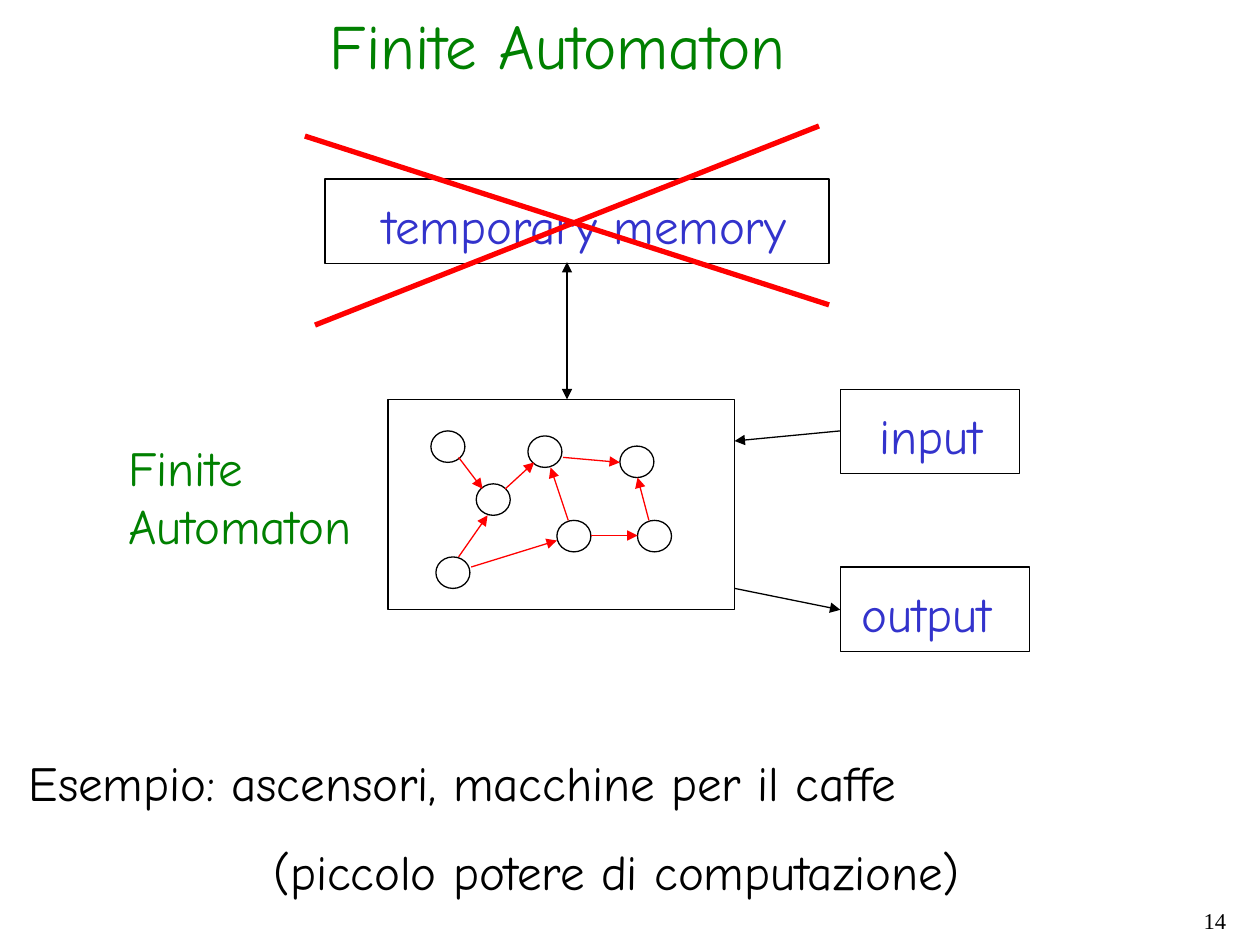
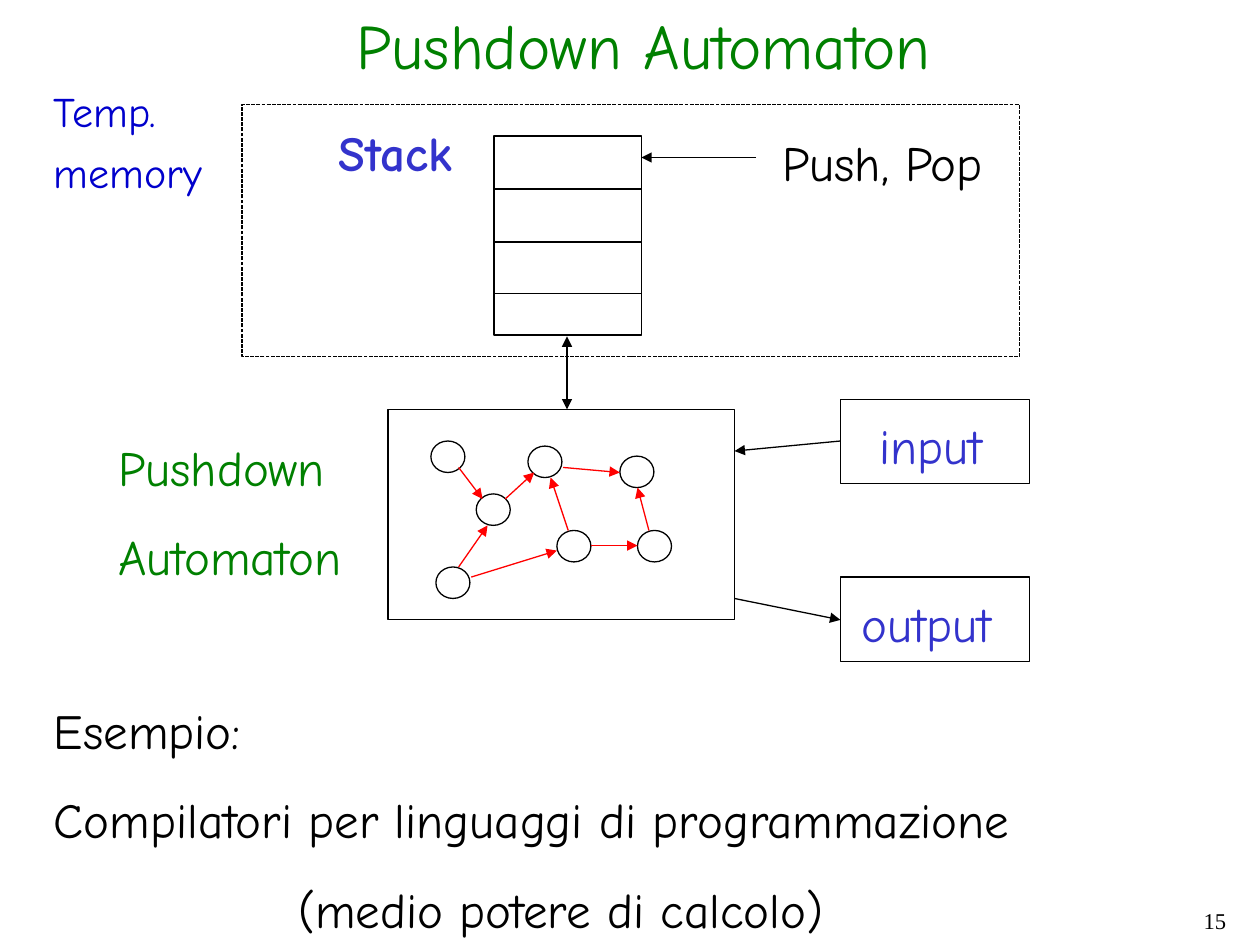
"""Build two slides on finite and pushdown automata."""
from lxml import etree
from pptx import Presentation
from pptx.dml.color import RGBColor as RGB
from pptx.enum.dml import MSO_LINE as DASH
from pptx.enum.shapes import MSO_CONNECTOR as CONN, MSO_SHAPE as SHAPE
from pptx.enum.text import PP_ALIGN as ALIGN
from pptx.oxml.ns import qn
from pptx.util import Inches, Pt

COLORS = {"ink": "000000", "title": "008000", "label": "3333CC",
          "memory": "0000CC", "red": "FF0000"}
FONT = "Comic Neue"
INDENT = 1.94

FINITE = {
    "number": "14",
    "title": ("Finite Automaton", 2.52, 3.86),
    "top": 3.17,
    "input_width": 1.42,
    "memory_end": 2.08,
    "name": (["Finite Automaton"], 0.92, 3.42, 2.33, 1.04),
    "example": (["Esempio: ascensori, macchine per il caffe",
                 "(piccolo potere di computazione)"], 0.13, 5.92, 7.8, 1.28),
}
PUSHDOWN = {
    "number": "15",
    "title": ("Pushdown Automaton", 2.73, 4.79),
    "top": 3.25,
    "input_width": 1.5,
    "memory_end": 2.67,
    "name": (["Pushdown", "Automaton"], 0.84, 3.42, 2.1, 1.28),
    "example": (["Esempio:", "Compilatori per linguaggi di programmazione",
                 "(medio potere di calcolo)"], 0.33, 5.51, 8.83, 1.99),
}

CROSS = [(2.42, 1.08, 6.58, 2.42), (2.5, 2.58, 6.5, 1)]
CELLS = [1.5, 1.92, 2.33]
STACK = (3.92, 1.08, 1.17, 1.58)

BOX = (3.08, 2.75, 1.67)
STATES = [(3.42, 0.25), (3.78, 0.67), (4.19, 0.29), (4.42, 0.96),
          (4.92, 0.37), (3.46, 1.25), (5.06, 0.96)]
MOVES = [(3.64, 0.46, 3.83, 0.71), (4.01, 0.71, 4.24, 0.5),
         (4.47, 0.46, 4.92, 0.5), (4.51, 0.96, 4.37, 0.54),
         (3.64, 1.25, 3.87, 0.92), (3.74, 1.33, 4.42, 1.12),
         (4.69, 1.08, 5.06, 1.08), (5.15, 0.96, 5.06, 0.62)]


def text(slide, lines, x, y, w, h, color="ink", size=28, font=FONT,
         bold=False, wrap=False, gap=17.5):
    frame = slide.shapes.add_textbox(*map(Inches, (x, y, w, h))).text_frame
    frame.word_wrap = wrap
    for i, line in enumerate(lines):
        para = frame.add_paragraph() if i else frame.paragraphs[0]
        para.text = line
        if i:
            para.space_before = Pt(gap)
        para.font.name, para.font.size = font, Pt(size)
        para.font.bold = bold
        para.font.color.rgb = RGB.from_string(COLORS[color])
    return frame.paragraphs


def outline(shapes, kind, x, y, w, h):
    shape = shapes.add_shape(kind, *map(Inches, (x, y, w, h)))
    shape.shadow.inherit = False
    shape.fill.background()
    shape.line.color.rgb = RGB.from_string(COLORS["ink"])
    shape.line.width = Pt(0.75)
    return shape


def line(shapes, ends, color="ink", width=0.75, tips=()):
    link = shapes.add_connector(CONN.STRAIGHT, *map(Inches, ends))
    link.line.color.rgb = RGB.from_string(COLORS[color])
    link.line.width = Pt(width)
    props = link._element.spPr
    for tip in tips:
        etree.SubElement(props.find(qn("a:ln")), qn(f"a:{tip}End"),
                         type="triangle")
    etree.SubElement(props, qn("a:effectLst"))


def machine(slide, top):
    x, w, h = BOX
    outline(slide.shapes, SHAPE.RECTANGLE, x, top, w, h)
    parts = slide.shapes.add_group_shape().shapes
    for x, y in STATES:
        outline(parts, SHAPE.OVAL, x, top + y, 0.27, 0.25)
    for x1, y1, x2, y2 in MOVES:
        line(parts, (x1, top + y1, x2, top + y2), "red", tips=["tail"])


def base(deck, data):
    slide = deck.slides.add_slide(deck.slide_layouts[6])
    shapes, top = slide.shapes, data["top"]
    number = text(slide, [data["number"]], 7.75, 7.17, 2.08, 0.33,
                  size=12.9, font="Times New Roman", wrap=True)[0]
    number.alignment, number.line_spacing = ALIGN.RIGHT, 0.9
    title, x, w = data["title"]
    text(slide, [title], x, 0, w, 0.7, "title", 36)

    ports = [("input", -0.08, data["input_width"], 6.88, 1.02),
             ("output", 1.33, 1.5, 6.74, 1.23)]
    for word, dy, width, x, w in ports:
        outline(shapes, SHAPE.RECTANGLE, 6.67, top + dy, width, 0.67)
        text(slide, [word], x, top + dy + 0.08, w, 0.57, "label")
    line(shapes, (4.5, data["memory_end"], 4.5, top), tips=["head", "tail"])
    line(shapes, (5.83, top + 0.33, 6.67, top + 0.25), tips=["head"])
    line(shapes, (5.83, top + 1.5, 6.67, top + 1.67), tips=["tail"])
    machine(slide, top)

    text(slide, *data["name"], "title", wrap=True)
    last = text(slide, *data["example"], wrap=True)[-1]
    last._p.get_or_add_pPr().set("marL", str(Inches(INDENT)))
    return slide


def finite(deck):
    slide = base(deck, FINITE)
    outline(slide.shapes, SHAPE.RECTANGLE, 2.58, 1.42, 4, 0.67)
    text(slide, ["temporary memory"], 2.94, 1.5, 3.42, 0.57, "label")
    for ends in CROSS:
        line(slide.shapes, ends, "red", 3)


def pushdown(deck):
    slide = base(deck, PUSHDOWN)
    shapes = slide.shapes
    outline(shapes, SHAPE.RECTANGLE, *STACK)
    left, right = STACK[0], STACK[0] + STACK[2]
    for y in CELLS:
        line(shapes, (left, y, right, y))
    line(shapes, (6, 1.25, right, 1.25), tips=["tail"])
    text(slide, ["Stack"], 2.59, 0.92, 1.11, 0.57, "label", bold=True)
    text(slide, ["Push, Pop"], 6.11, 1, 1.81, 0.57)
    frame = outline(shapes, SHAPE.RECTANGLE, 1.92, 0.83, 6.17, 2)
    frame.line.dash_style = DASH.SQUARE_DOT
    text(slide, ["Temp.", "memory"], 0.33, 0.63, 1.5, 0.99, "memory", 24,
         wrap=True, gap=6)


def main():
    deck = Presentation()
    deck.slide_width, deck.slide_height = Inches(10), Inches(7.5)
    finite(deck)
    pushdown(deck)
    deck.save("out.pptx")


if __name__ == "__main__":
    main()
